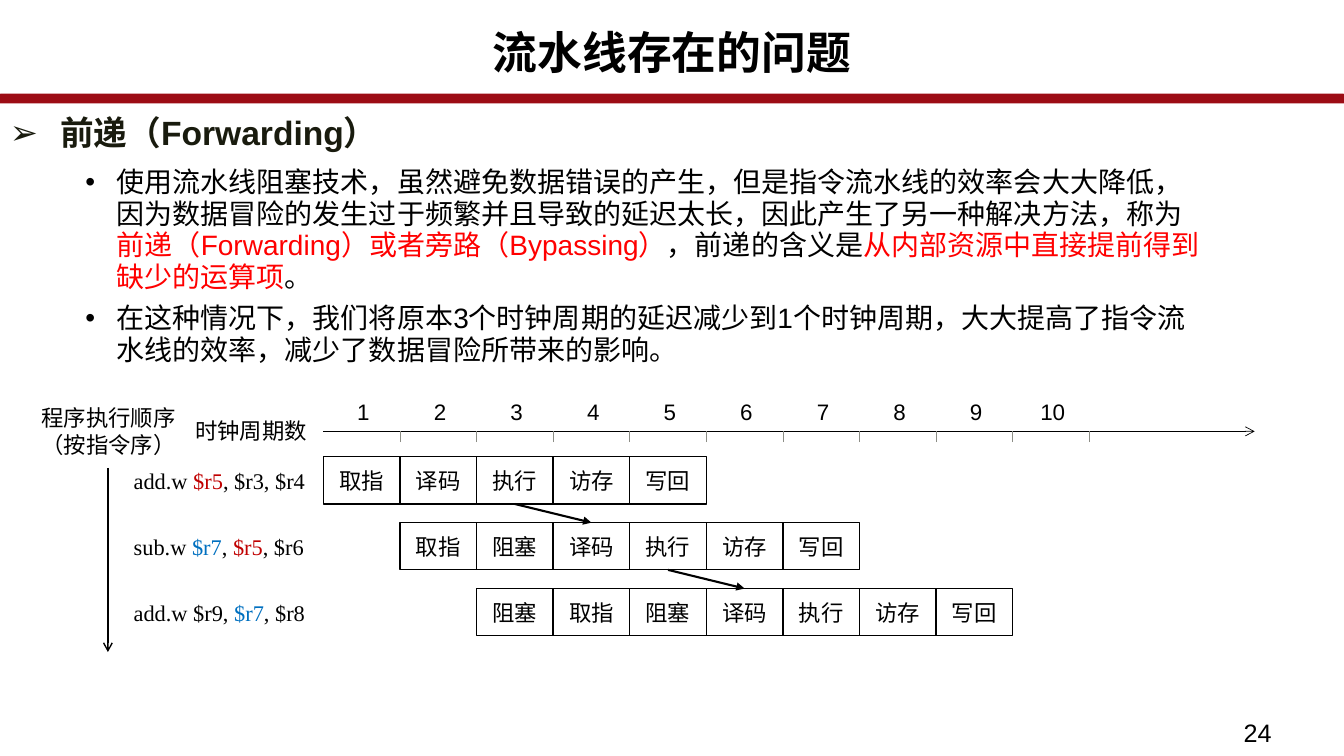
from collections import namedtuple

from lxml import etree
from pptx import Presentation
from pptx.dml.color import RGBColor
from pptx.enum.shapes import MSO_CONNECTOR, MSO_SHAPE
from pptx.enum.text import MSO_ANCHOR, MSO_AUTO_SIZE, PP_ALIGN
from pptx.oxml.ns import qn
from pptx.util import Cm, Pt

RECTANGLE, ROUNDED = MSO_SHAPE.RECTANGLE, MSO_SHAPE.ROUNDED_RECTANGLE
STRAIGHT = MSO_CONNECTOR.STRAIGHT
TOP, MIDDLE = MSO_ANCHOR.TOP, MSO_ANCHOR.MIDDLE
LEFT, CENTER = PP_ALIGN.LEFT, PP_ALIGN.CENTER
NO_AUTOFIT = MSO_AUTO_SIZE.NONE

COLORS = {
    "black": "000000", "heading": "191B0E", "bar": "9C0C15", "tick": "8C8D86",
    "highlight": "FF0000", "r5": "C00000", "r7": "0070C0",
}
SANS, SERIF = "Arial", "Times New Roman"
CYCLE, ROW_PITCH, ROW_HEIGHT = 1.93, 1.66, 1.19

Box = namedtuple("Box", "left top width height")

POINTS = [
    [("使用流水线阻塞技术，虽然避免数据错误的产生，但是指令流水线的效率会大大降低，"
      "因为数据冒险的发生过于频繁并且导致的延迟太长，因此产生了另一种解决方法，称为", "black"),
     ("前递（Forwarding）或者旁路（Bypassing）", "highlight"),
     ("，前递的含义是", "black"),
     ("从内部资源中直接提前得到缺少的运算项", "highlight"),
     ("。", "black")],
    [("在这种情况下，我们将原本3个时钟周期的延迟减少到1个时钟周期，"
      "大大提高了指令流水线的效率，减少了数据冒险所带来的影响。", "black")],
]
INSTRUCTIONS = [
    [("add.w ", "black"), ("$r5", "r5"), (", $r3, $r4", "black")],
    [("sub.w ", "black"), ("$r7", "r7"), (", ", "black"), ("$r5", "r5"), (", $r6", "black")],
    [("add.w $r9, ", "black"), ("$r7", "r7"), (", $r8", "black")],
]
STAGES = [
    ["取指", "译码", "执行", "访存", "写回"],
    ["取指", "阻塞", "译码", "执行", "访存", "写回"],
    ["阻塞", "取指", "阻塞", "译码", "执行", "访存", "写回"],
]
FORWARDED_CYCLES = [2, 4]


def rgb(name):
    """Return the named colour."""
    return RGBColor.from_string(COLORS[name])


def lengths(box):
    """Convert a box in centimetres to slide lengths."""
    return [Cm(value) for value in box]


def write(paragraph, runs, size, font=SANS, bold=False, align=LEFT):
    """Fill a paragraph with coloured runs."""
    paragraph.alignment = align
    for words, color in runs:
        run = paragraph.add_run()
        run.text = words
        run.font.size, run.font.name, run.font.bold = Pt(size), font, bold
        run.font.color.rgb = rgb(color)


def text_frame(slide, box, anchor=TOP):
    """Add a wrapping text box and return its frame."""
    frame = slide.shapes.add_textbox(*lengths(box)).text_frame
    frame.word_wrap, frame.vertical_anchor = True, anchor
    return frame


def label(slide, box, words, size=16, align=CENTER, anchor=MIDDLE):
    """Add a black one-paragraph label."""
    write(text_frame(slide, box, anchor).paragraphs[0], [(words, "black")], size, align=align)


def add_bullet(paragraph, mark, margin, hanging):
    """Give a paragraph a bullet with a hanging indent."""
    properties = paragraph._p.get_or_add_pPr()
    properties.set("marL", str(Cm(margin)))
    properties.set("indent", str(-Cm(hanging)))
    etree.SubElement(properties, qn("a:buFont")).set("typeface", SANS)
    etree.SubElement(properties, qn("a:buChar")).set("char", mark)
    paragraph.line_spacing = 0.94
    paragraph.space_after = Pt(2)


def draw_line(slide, start, end, color, weight, arrow=None):
    """Draw a straight line, with an arrowhead at its end if asked."""
    line = slide.shapes.add_connector(STRAIGHT, *lengths(start + end))
    line.line.color.rgb = rgb(color)
    line.line.width = Pt(weight)
    if arrow:
        etree.SubElement(line.line._get_or_add_ln(), qn("a:tailEnd")).set("type", arrow)
    etree.SubElement(line._element.spPr, qn("a:effectLst"))


def add_header(slide, box):
    """Place the title with the red bar at the foot of the box."""
    bar = slide.shapes.add_shape(
        ROUNDED, *lengths((box.left, box.top + 1.75, box.width, 0.15)))
    bar.shadow.inherit = False
    bar.fill.solid()
    bar.fill.fore_color.rgb = bar.line.color.rgb = rgb("bar")
    bar.line.width = Pt(2.75)
    title = slide.shapes.title
    title.left, title.top, title.width, title.height = lengths(box)
    frame = title.text_frame
    frame.vertical_anchor, frame.auto_size = TOP, NO_AUTOFIT
    frame.paragraphs[0].line_spacing = 0.89
    write(frame.paragraphs[0], [("流水线存在的问题", "black")], 32, bold=True, align=CENTER)


def add_explanation(slide, box):
    """Place the heading and the bulleted points below it."""
    heading = text_frame(slide, box._replace(height=1.3)).paragraphs[0]
    add_bullet(heading, "➢", 1.27, 1.27)
    write(heading, [("前递（Forwarding）", "heading")], 24, bold=True)
    points = text_frame(
        slide, Box(box.left + 0.43, box.top + 1.3, box.width - 2.54, box.height - 1.3))
    for index, runs in enumerate(POINTS):
        point = points.add_paragraph() if index else points.paragraphs[0]
        point.level = 1
        add_bullet(point, "•", 2.26, 0.79)
        if index:
            point.space_before = Pt(5)
        write(point, runs, 20)


def add_program_order(slide, box):
    """Place the axis captions, the downward arrow and the instructions."""
    label(slide, Box(box.left, box.top, 3.99, 1.19), "程序执行顺序（按指令序）")
    label(slide, Box(box.left + 2.67, box.top, 5.84, 1.19), "时钟周期数")
    arrow_x = box.left + 1.98
    draw_line(slide, (arrow_x, box.top + 1.53), (arrow_x, box.top + box.height),
              "black", 1, "arrow")
    for row, runs in enumerate(INSTRUCTIONS):
        line_box = Box(box.left + 2.38, box.top + 1.25 + row * ROW_PITCH, 4.9, ROW_HEIGHT)
        write(text_frame(slide, line_box, MIDDLE).paragraphs[0], runs, 16, SERIF)


def add_clock_axis(slide, box):
    """Place the clock arrow with its ticks and cycle numbers."""
    axis_y = box.top + 1.09
    draw_line(slide, (box.left, axis_y), (box.left + box.width, axis_y),
              "black", 0.5, "arrow")
    for cycle in range(1, 11):
        tick_x = box.left + cycle * CYCLE
        draw_line(slide, (tick_x, axis_y + 0.27), (tick_x, axis_y), "tick", 0.5)
        label(slide, Box(tick_x - CYCLE - 0.12, box.top, 2.26, 1.19), str(cycle))


def add_pipeline(slide, box):
    """Place the stage cells, each row one cycle later, and the forwarding arrows."""
    for row, stages in enumerate(STAGES):
        top = box.top + row * ROW_PITCH
        for cycle, stage in enumerate(stages, start=row):
            cell = slide.shapes.add_shape(
                RECTANGLE, *lengths((box.left + cycle * CYCLE, top, CYCLE, ROW_HEIGHT)))
            cell.shadow.inherit = False
            cell.fill.background()
            cell.line.color.rgb = rgb("black")
            cell.line.width = Pt(1)
            frame = cell.text_frame
            frame.vertical_anchor = MIDDLE
            write(frame.paragraphs[0], [(stage, "black")], 16, align=CENTER)
    for row, cycle in enumerate(FORWARDED_CYCLES):
        start_x = box.left + (cycle + 0.5) * CYCLE
        top = box.top + row * ROW_PITCH
        draw_line(slide, (start_x, top + ROW_HEIGHT), (start_x + CYCLE, top + ROW_PITCH),
                  "black", 1.5, "triangle")


def main():
    """Build the slide and save it."""
    deck = Presentation()
    deck.slide_width, deck.slide_height = Cm(33.87), Cm(19.05)
    slide = deck.slides.add_slide(deck.slide_layouts[5])
    add_header(slide, Box(0, 0.66, 33.87, 1.9))
    add_explanation(slide, Box(0, 2.79, 32.64, 7.68))
    add_program_order(slide, Box(0.74, 10.26, 8.5, 6.17))
    add_clock_axis(slide, Box(8.15, 9.78, 23.47, 1.36))
    add_pipeline(slide, Box(8.15, 11.51, 17.37, 4.51))
    label(slide, Box(31.09, 17.96, 2.77, 1.09), "24", 18, LEFT, TOP)
    deck.save("out.pptx")


if __name__ == "__main__":
    main()
